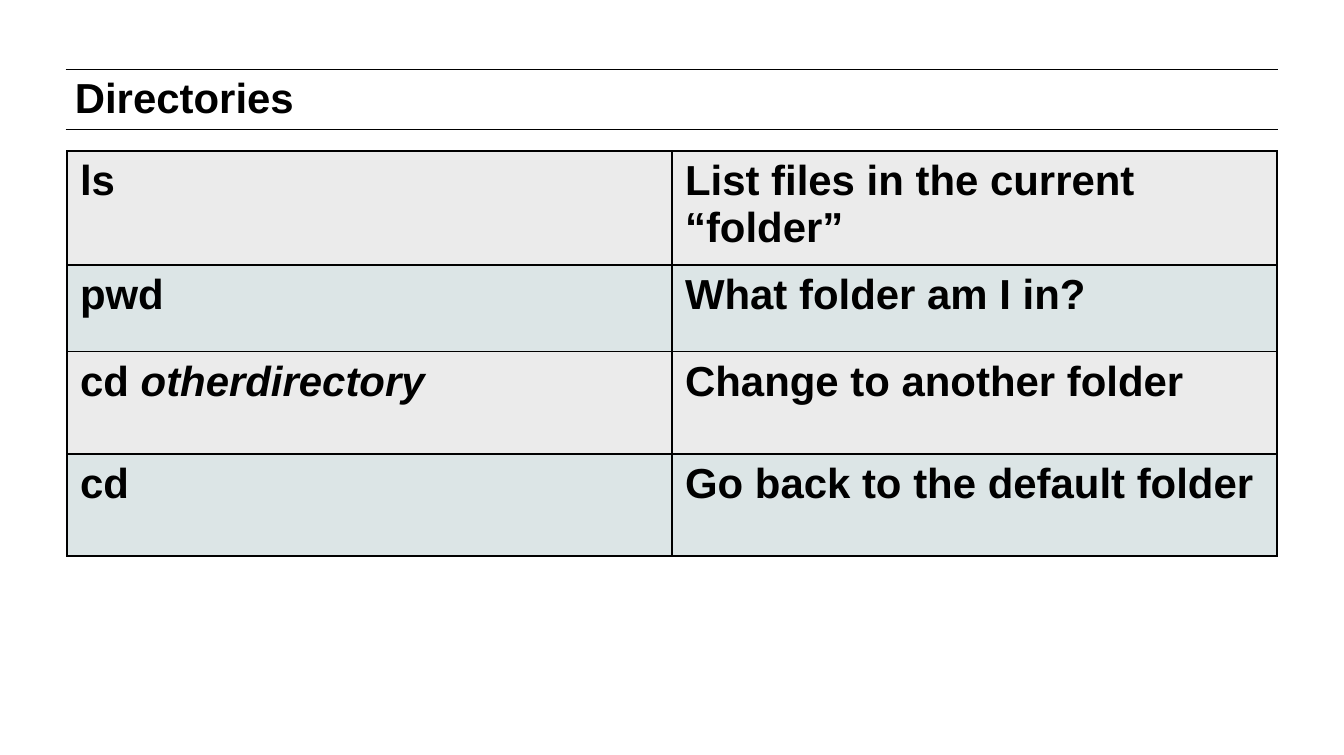
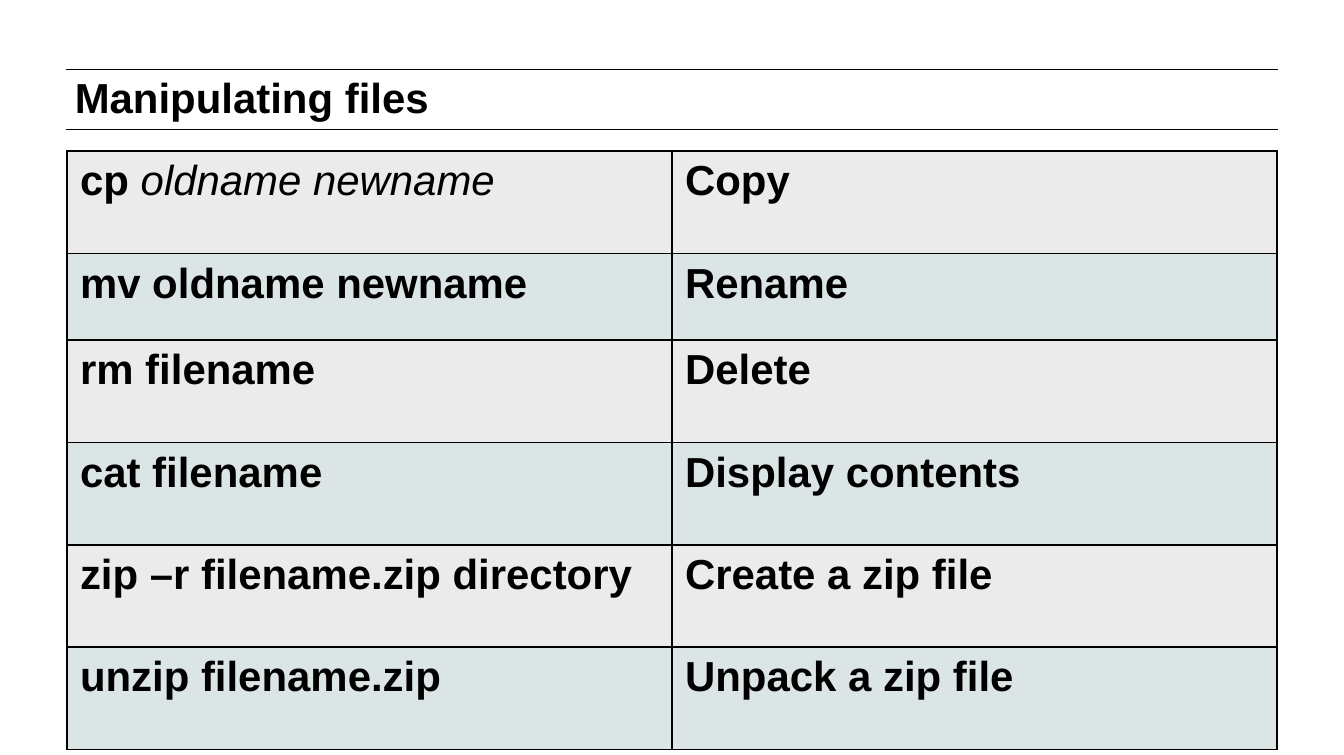
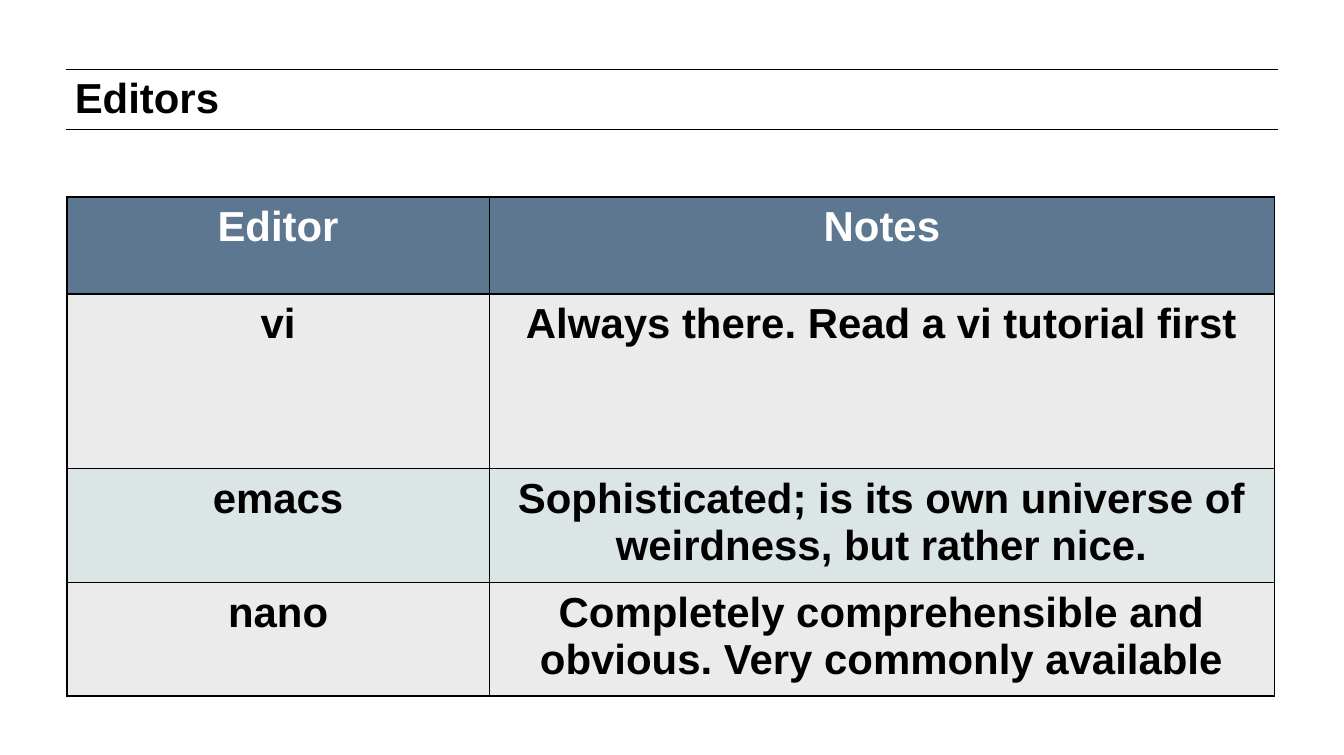
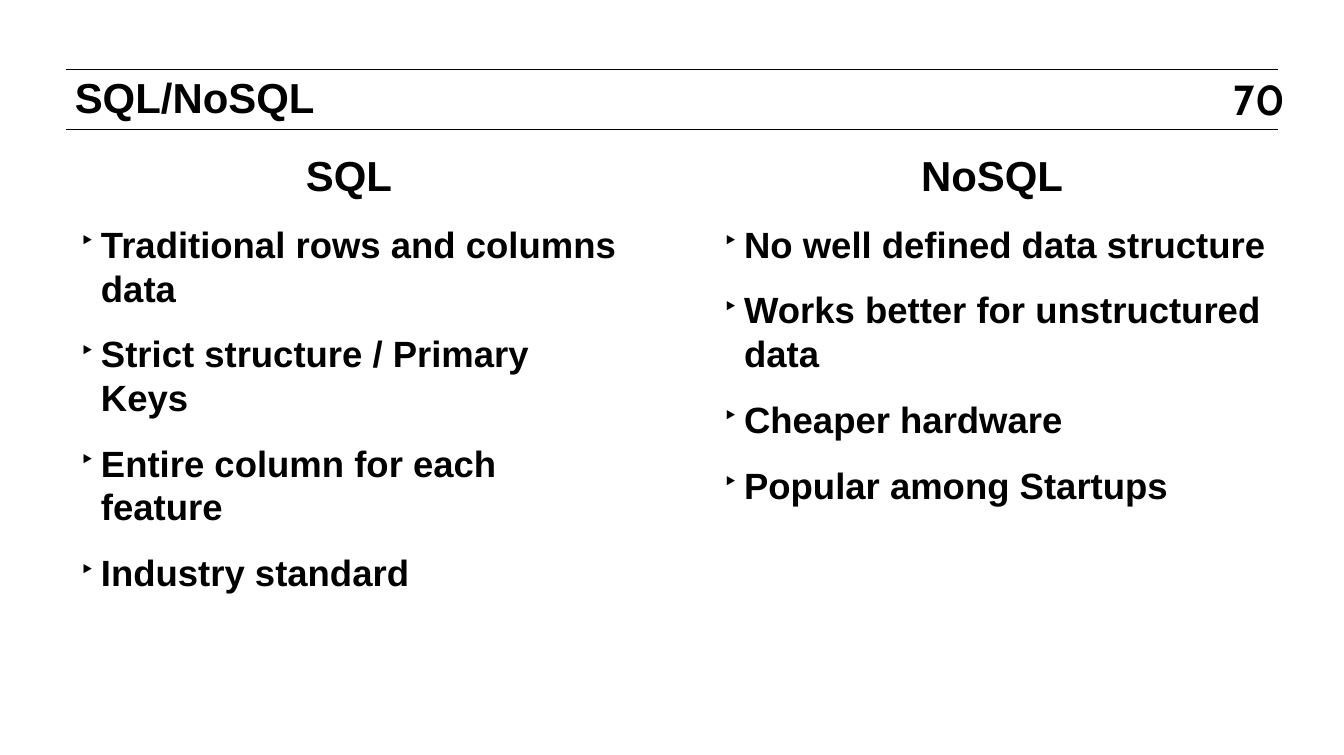
import pptx
import pptx.dml.color
import pptx.enum.shapes
import pptx.enum.text
import pptx.oxml
import pptx.oxml.ns
import pptx.util

Inches = pptx.util.Inches
Pt = pptx.util.Pt
ALIGN = pptx.enum.text.PP_ALIGN
ANCHOR = pptx.enum.text.MSO_ANCHOR
NS = pptx.oxml.ns.nsdecls("a")

COLORS = {"ink": "000000", "paper": "FFFFFF", "head": "5E7790",
          "odd": "EBEBEB", "even": "DCE5E6"}
BASE = {"name": "Arial", "size": Pt(23), "bold": True, "italic": False}
ITEM = {"size": Pt(20)}
SLANT = {"italic": True}
LIGHT = {"italic": True, "bold": False}


def color(name):
    return pptx.dml.color.RGBColor.from_string(COLORS[name])


def apply(target, values):
    for key, value in values.items():
        setattr(target, key, value)


class Deck:
    def __init__(self):
        self.prs = pptx.Presentation()
        self.prs.slide_width = Inches(10.24)
        self.prs.slide_height = Inches(5.75)
        self.slide = None

    def label(self, para, text, ink="ink", style=None):
        """Fill a paragraph from a string or a list of (text, format) parts."""
        parts = [(text, {})] if isinstance(text, str) else text
        for words, look in parts:
            run = para.add_run()
            run.text = words
            apply(run.font, {**BASE, **(style or {}), **look})
            run.font.color.rgb = color(ink)

    def box(self, left, top, width, height, pad=0.06):
        shape = self.slide.shapes.add_textbox(
            Inches(left), Inches(top), Inches(width), Inches(height))
        frame = shape.text_frame
        apply(frame, {"word_wrap": True, "vertical_anchor": ANCHOR.TOP})
        for side in ("left", "top", "right", "bottom"):
            setattr(frame, "margin_" + side, Inches(pad))
        return frame

    def rule(self, top):
        line = self.slide.shapes.add_connector(
            pptx.enum.shapes.MSO_CONNECTOR.STRAIGHT,
            Inches(0.5), Inches(top), Inches(9.74), Inches(top))
        line.line.width = Pt(0.5)
        line.line.color.rgb = color("ink")
        line._element.spPr.append(pptx.oxml.parse_xml(f"<a:effectLst {NS}/>"))

    def page(self, title):
        """Start a slide with its title between two rules."""
        self.slide = self.prs.slides.add_slide(self.prs.slide_layouts[6])
        for top in (0.53, 0.99):
            self.rule(top)
        para = self.box(0.51, 0.55, 8.61, 0.52).paragraphs[0]
        para.line_spacing = Pt(23)
        self.label(para, title)

    def number(self, text):
        frame = self.box(9.4, 0.56, 0.39, 0.38, pad=0)
        apply(frame, {"word_wrap": False, "vertical_anchor": ANCHOR.MIDDLE,
                      "auto_size": pptx.enum.text.MSO_AUTO_SIZE.SHAPE_TO_FIT_TEXT})
        frame.paragraphs[0].alignment = ALIGN.CENTER
        self.label(frame.paragraphs[0], text, style={"name": "Cabin"})

    def border(self, cell):
        props = cell._tc.get_or_add_tcPr()
        for side in "LRTB":
            props.append(pptx.oxml.parse_xml(
                f'<a:ln{side} {NS} w="{Pt(1)}"><a:solidFill>'
                f'<a:srgbClr val="{COLORS["ink"]}"/></a:solidFill></a:ln{side}>'))

    def table(self, top, widths, heights, rows, head=False, align=ALIGN.LEFT):
        grid = self.slide.shapes.add_table(
            len(rows), len(widths), Inches(0.51), Inches(top),
            Inches(sum(widths)), Inches(sum(heights))).table
        apply(grid, {"first_row": head, "horz_banding": False})
        for col, width in zip(grid.columns, widths):
            col.width = Inches(width)
        for i, (row, height, texts) in enumerate(zip(grid.rows, heights, rows)):
            row.height = Inches(height)
            top_row = head and i == 0
            band = "head" if top_row else ("odd", "even")[(i - head) % 2]
            for cell, text in zip(row.cells, texts):
                self.border(cell)
                cell.fill.solid()
                cell.fill.fore_color.rgb = color(band)
                para = cell.text_frame.paragraphs[0]
                para.alignment = align
                self.label(para, text, "paper" if top_row else "ink")

    def bullets(self, left, head, items):
        """Draw a centred heading with a bullet list under it."""
        frame = self.box(left, 1.08, 4.3, 4.41)
        frame.paragraphs[0].alignment = ALIGN.CENTER
        self.label(frame.paragraphs[0], head)
        for item in items:
            para = frame.add_paragraph()
            props = para._p.get_or_add_pPr()
            props.set("marL", str(Inches(0.2)))
            props.set("indent", str(Inches(-0.16)))
            for mark in (f'buSzPct {NS} val="69000"', f'buChar {NS} char="‣"'):
                props.append(pptx.oxml.parse_xml(f"<a:{mark}/>"))
            apply(para, {"line_spacing": Pt(24), "space_before": Pt(12)})
            self.label(para, item, style=ITEM)


def main():
    deck = Deck()

    deck.page("Directories")
    deck.table(1.15, [4.61] * 2, [0.78, 0.66, 0.78, 0.78], [
        ("ls", "List files in the current “folder”"),
        ("pwd", "What folder am I in?"),
        ([("cd ", {}), ("otherdirectory", SLANT)], "Change to another folder"),
        ("cd", "Go back to the default folder"),
    ])

    deck.page("Manipulating files")
    deck.table(1.15, [4.61] * 2, [0.78, 0.66] + [0.78] * 4, [
        ([("cp ", {}), ("oldname newname", LIGHT)], "Copy"),
        ("mv oldname newname", "Rename"),
        ("rm filename", "Delete"),
        ("cat filename", "Display contents"),
        ("zip –r filename.zip directory", "Create a zip file"),
        ("unzip filename.zip", "Unpack a zip file"),
    ])

    deck.page("Editors")
    deck.table(1.5, [3.22, 5.98], [0.74, 1.33, 0.74, 0.74], [
        ("Editor", "Notes"),
        ("vi", "Always there. Read a vi tutorial first"),
        ("emacs", "Sophisticated; is its own universe of weirdness, "
                  "but rather nice."),
        ("nano", "Completely comprehensible and obvious. "
                 "Very commonly available"),
    ], head=True, align=ALIGN.CENTER)

    deck.page("SQL/NoSQL")
    deck.number("70")
    deck.bullets(0.51, "SQL", [
        "Traditional rows and columns data",
        "Strict structure / Primary Keys",
        "Entire column for each feature",
        "Industry standard",
    ])
    deck.bullets(5.41, "NoSQL", [
        "No well defined data structure",
        "Works better for unstructured data",
        "Cheaper hardware",
        "Popular among Startups",
    ])

    deck.prs.save("out.pptx")


if __name__ == "__main__":
    main()
